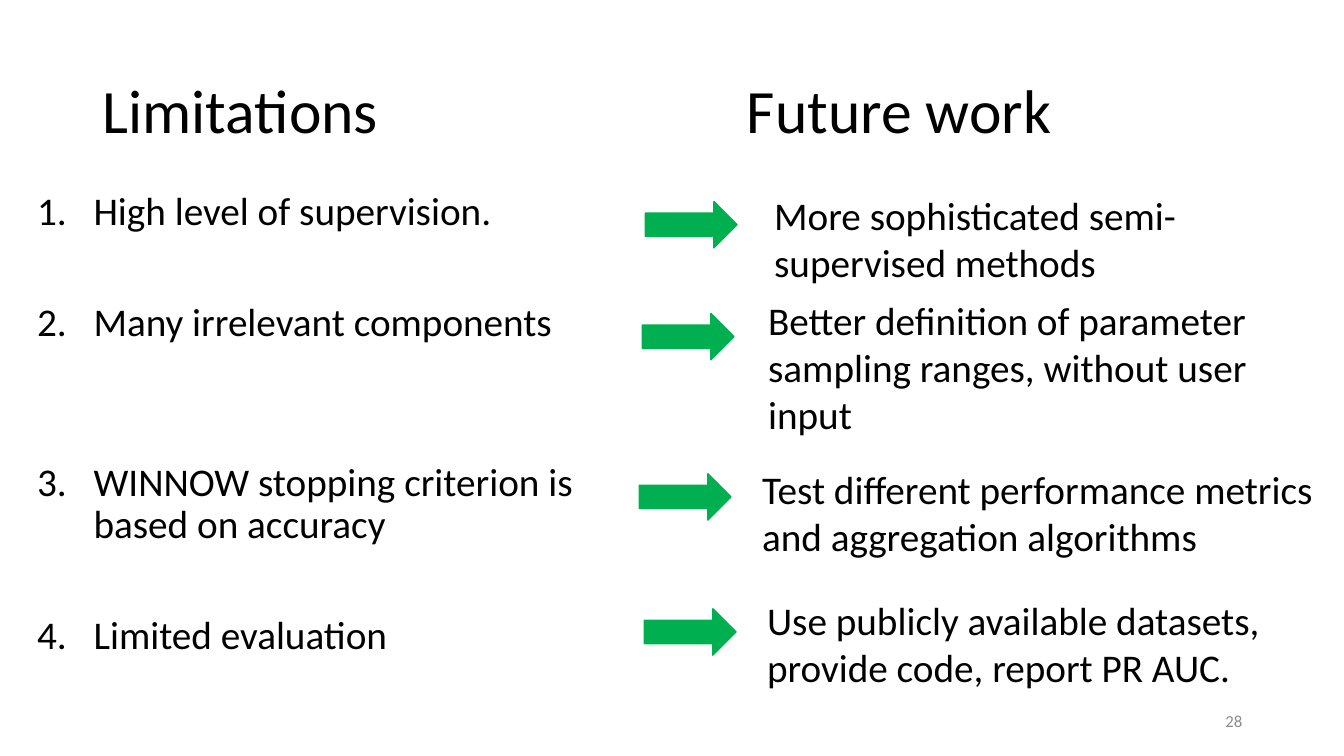
from lxml import etree
from pptx import Presentation
from pptx.dml.color import RGBColor
from pptx.enum.shapes import MSO_SHAPE
from pptx.enum.text import MSO_ANCHOR, PP_ALIGN
from pptx.oxml.ns import qn
from pptx.util import Emu, Pt

RIGHT_ARROW = MSO_SHAPE.RIGHT_ARROW
TOP, MIDDLE = MSO_ANCHOR.TOP, MSO_ANCHOR.MIDDLE
LEFT, RIGHT = PP_ALIGN.LEFT, PP_ALIGN.RIGHT

# Content: headings as (text, left, width)
HEADINGS = [("Limitations", 92, 639), ("Future work", 731, 602)]
# Limitations as (text, points of space before)
LIMITATIONS = [
    ("High level of supervision.", 0),
    ("Many irrelevant components", 49),
    ("WINNOW stopping criterion is based on accuracy", 84),
    ("Limited evaluation", 49),
]
# Future work as (text, text position, text height, arrow position)
FUTURE_WORK = [
    ("More sophisticated semi-supervised methods", (758, 185), 104, (640, 200)),
    ("Better definition of parameter sampling ranges, without user input",
     (752, 289), 151, (637, 311)),
    ("Test different performance metrics and aggregation algorithms",
     (746, 457), 104, (634, 470)),
    ("Use publicly available datasets, provide code, report PR AUC.",
     (751, 587), 104, (639, 604)),
]
PAGE_NUMBER = "28"

# Layout: 100 px to the inch
PX = 9144
ARROW_SIZE = (91, 46)
FUTURE_WIDTH = 575
NUMBER_INDENT = 56
FONT = "Calibri"
BLACK, GREY, GREEN = "000000", "8C8C8C", "00B050"


def px(length):
    return Emu(length * PX)


def color(code):
    return RGBColor.from_string(code)


def add_text(page, lines, left, top, width, height, size=28, code=BLACK,
             anchor=TOP, align=LEFT, spacing=1.0):
    box = page.shapes.add_textbox(px(left), px(top), px(width), px(height))
    frame = box.text_frame
    frame.word_wrap = True
    frame.vertical_anchor = anchor
    frame.text = "\n".join(lines)
    for para in frame.paragraphs:
        para.alignment = align
        para.line_spacing = spacing
        for span in para.runs:
            span.font.name = FONT
            span.font.size = Pt(size)
            span.font.color.rgb = color(code)
    return frame


def number_paragraph(para):
    properties = para._p.get_or_add_pPr()
    properties.set("marL", str(px(NUMBER_INDENT)))
    properties.set("indent", str(-px(NUMBER_INDENT)))
    bullet = etree.SubElement(properties, qn("a:buAutoNum"))
    bullet.set("type", "arabicPeriod")


def add_arrow(page, left, top):
    arrow = page.shapes.add_shape(RIGHT_ARROW, px(left), px(top), *map(px, ARROW_SIZE))
    arrow.shadow.inherit = False
    arrow.fill.solid()
    arrow.fill.fore_color.rgb = color(GREEN)
    arrow.line.color.rgb = color(GREEN)
    arrow.line.width = Pt(1)


def main():
    deck = Presentation()
    deck.slide_width, deck.slide_height = px(1333), px(750)
    page = deck.slides.add_slide(deck.slide_layouts[6])

    # Headings
    for text, left, width in HEADINGS:
        add_text(page, [text], left, 40, width, 145, size=44, anchor=MIDDLE, spacing=0.9)

    # Numbered limitations
    lines = [text for text, _ in LIMITATIONS]
    frame = add_text(page, lines, 27, 185, 639, 502, spacing=0.9)
    for para, (_, space) in zip(frame.paragraphs, LIMITATIONS):
        para.space_before = Pt(space)
        number_paragraph(para)

    # Arrows and future work
    for text, (left, top), height, arrow_at in FUTURE_WORK:
        add_arrow(page, *arrow_at)
        add_text(page, [text], left, top, FUTURE_WIDTH, height)

    # Page number
    add_text(page, [PAGE_NUMBER], 942, 695, 300, 40, size=12, code=GREY,
             anchor=MIDDLE, align=RIGHT)

    deck.save("out.pptx")


if __name__ == "__main__":
    main()
